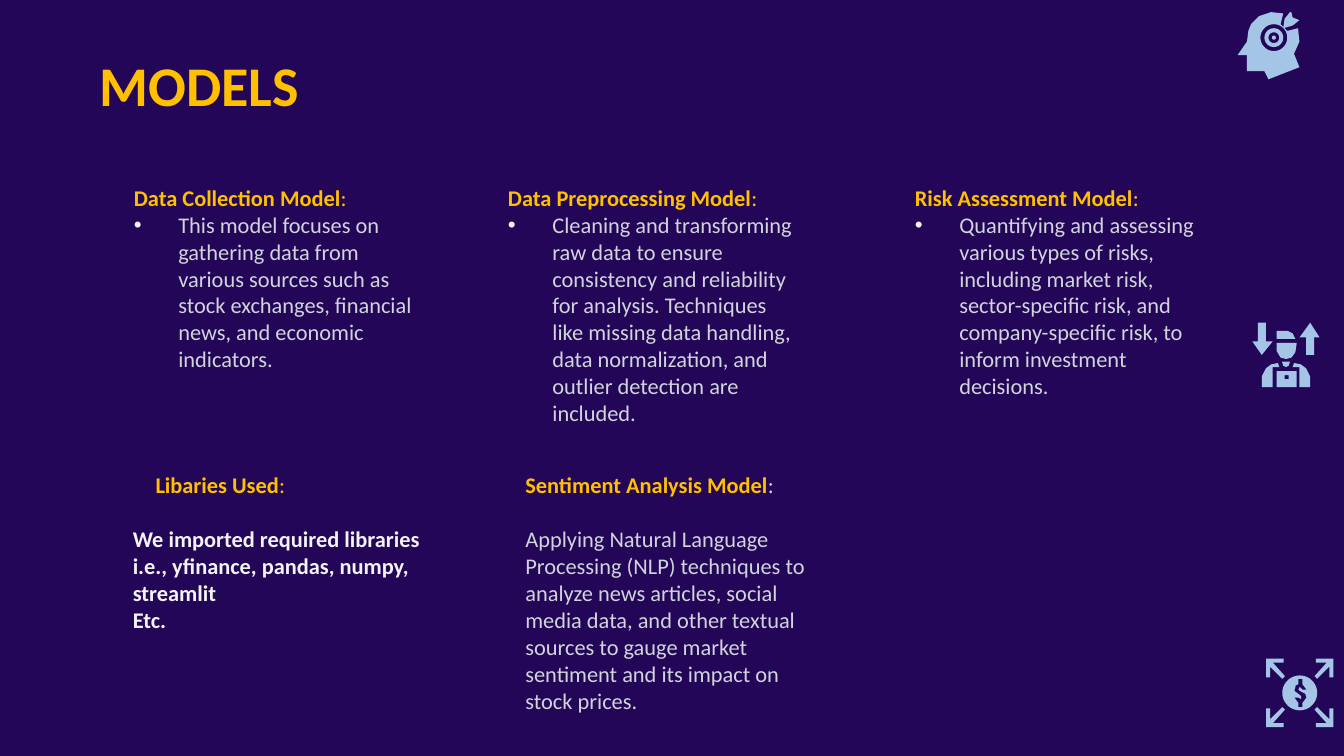
from math import cos, pi, sin

from lxml.etree import SubElement
from pptx import Presentation
from pptx.dml.color import RGBColor
from pptx.enum.text import MSO_ANCHOR, MSO_AUTO_SIZE, PP_ALIGN
from pptx.oxml.ns import qn
from pptx.util import Cm, Pt

PURPLE = RGBColor(0x24, 0x06, 0x59)
GOLD = RGBColor(0xFF, 0xC0, 0x00)
WHITE = RGBColor(0xF3, 0xF3, 0xF3)
GREY = RGBColor(0xD1, 0xD5, 0xDB)
BLUE = RGBColor(0xA5, 0xC5, 0xE6)

FONT = "Calibri"
BLOCK_WIDTH, BLOCK_HEIGHT = 6.4, 5.08
MODELS_TOP, DETAILS_TOP = 3.23, 8.66
INDENT, HANGING = 1.27, -0.84
ICON_UNIT = 0.0254

TITLE = "MODELS"
MODELS = [
    (1.85, "Data Collection Model",
     "This model focuses on gathering data from various sources such as stock "
     "exchanges, financial news, and economic indicators."),
    (8.92, "Data Preprocessing Model",
     "Cleaning and transforming raw data to ensure consistency and reliability for "
     "analysis. Techniques like missing data handling, data normalization, and "
     "outlier detection are included."),
    (16.61, "Risk Assessment Model",
     "Quantifying and assessing various types of risks, including market risk, "
     "sector-specific risk, and company-specific risk, to inform investment decisions."),
]
DETAILS = [
    dict(left=2.26, heading="Libaries Used", colon=GOLD, color=WHITE, bold=True, indent=0,
         lines=["We imported required libraries i.e., yfinance, pandas, numpy, streamlit",
                "Etc."]),
    dict(left=9.25, heading="Sentiment Analysis Model", colon=GREY, color=GREY, bold=False,
         indent=0.43,
         lines=["Applying Natural Language Processing (NLP) techniques to analyze news "
                "articles, social media data, and other textual sources to gauge market "
                "sentiment and its impact on stock prices."]),
]


def circle(x, y, radius, steps=36):
    return [(x + radius * cos(2 * pi * i / steps), y + radius * sin(2 * pi * i / steps))
            for i in range(steps)]


def mirror(points, width=None, height=None):
    return [(x if width is None else width - x, y if height is None else height - y)
            for x, y in points]


# Icon outlines are in hundredths of an inch; an outline inside another cuts a hole.
TARGET_HEAD = [
    [(25, 0), (16, 3), (10, 9), (8, 14), (7, 22), (0, 32), (7, 32), (7, 44), (20, 44),
     (23, 50), (46, 41), (42, 31), (46, 22), (45, 12), (37, 14), (32, 9), (34, 1)],
    *[circle(27, 19, radius) for radius in (10, 7, 4, 1.5)],
    [(39, 0), (35, 5), (34, 12), (41, 10), (46, 6), (41, 4), (40, 0)],
]
SHOULDER = [(19, 30), (14, 31), (10, 34), (7, 40), (7, 48), (15, 48), (15, 33), (20, 33)]
TRADER = [
    [(18, 6), (26, 6), (30, 8), (32, 12), (18, 12)],
    [(43, 0), (50, 11), (46, 11), (46, 24), (40, 24), (40, 11), (35, 11)],
    [(4, 0), (10, 0), (10, 14), (15, 14), (7, 24), (0, 14), (4, 14)],
    [(18, 15), (33, 15), (32, 22), (29, 26), (25, 27), (21, 26), (18, 21)],
    [(22, 29), (28, 29), (27, 32), (25, 33), (23, 32)],
    [(18, 36), (33, 36), (33, 48), (18, 48)],
    [(24, 39), (27, 39), (27, 42), (24, 42)],
    SHOULDER,
    mirror(SHOULDER, width=50),
]
CORNER_ARROW = [(0, 0), (13, 0), (13, 3), (5, 3), (14, 13), (12, 15), (3, 6), (3, 14), (0, 14)]
MONEY = [
    *[mirror(CORNER_ARROW, width, height) for width in (None, 50) for height in (None, 51)],
    circle(25, 25.5, 13),
    [(27, 15), (27, 19), (30, 23), (27, 23), (25, 21), (24, 23), (25, 24), (29, 26),
     (30, 29), (27, 33), (27, 36), (24, 36), (24, 33), (21, 29), (24, 29), (26, 30),
     (26, 28), (25, 27), (21, 24), (22, 20), (24, 19), (24, 15)],
]
ICONS = [(23.39, 0.23, TARGET_HEAD), (23.67, 6.1, TRADER), (23.93, 12.45, MONEY)]


def place(box, left, top, width, height):
    box.left, box.top, box.width, box.height = Cm(left), Cm(top), Cm(width), Cm(height)
    frame = box.text_frame
    frame.word_wrap = True
    frame.auto_size = MSO_AUTO_SIZE.NONE
    frame.vertical_anchor = MSO_ANCHOR.TOP
    frame.margin_left = frame.margin_right = Cm(0.25)
    frame.margin_top = frame.margin_bottom = Cm(0.25)
    return frame


def add_text(para, text, size=12, color=GOLD, bold=False):
    span = para.add_run()
    span.text = text
    span.font.name = FONT
    span.font.size = Pt(size)
    span.font.bold = bold
    span.font.color.rgb = color


def format_paragraph(para, indent=0, hanging=0, bullet=None, after=0):
    para.alignment = PP_ALIGN.LEFT
    para.line_spacing = 1.0
    para.space_before, para.space_after = Pt(0), Pt(after)
    properties = para._p.get_or_add_pPr()
    properties.set("marL", str(Cm(indent)))
    properties.set("indent", str(Cm(hanging)))
    if bullet:
        bullet_color = SubElement(properties, qn("a:buClr"))
        SubElement(bullet_color, qn("a:srgbClr"), val=str(WHITE))
        SubElement(properties, qn("a:buFont"), typeface="Arial")
        SubElement(properties, qn("a:buChar"), char=bullet)
    else:
        SubElement(properties, qn("a:buNone"))


def add_heading(frame, heading, colon=GOLD, **layout):
    para = frame.paragraphs[0]
    format_paragraph(para, **layout)
    add_text(para, heading, bold=True)
    add_text(para, ":", color=colon)


def draw_icon(page, left, top, outlines):
    builder = None
    for outline in outlines:
        points = [(Cm(x * ICON_UNIT), Cm(y * ICON_UNIT)) for x, y in outline]
        if builder is None:
            builder = page.shapes.build_freeform(*points[0])
        else:
            builder.move_to(*points[0])
        builder.add_line_segments(points[1:], close=True)
    icon = builder.convert_to_shape(Cm(left), Cm(top))
    icon.shadow.inherit = False
    icon.fill.solid()
    icon.fill.fore_color.rgb = BLUE
    icon.line.fill.background()


def main():
    deck = Presentation()
    deck.slide_width, deck.slide_height = Cm(25.4), Cm(14.29)
    page = deck.slides.add_slide(deck.slide_layouts.get_by_name("Comparison"))
    page.background.fill.solid()
    page.background.fill.fore_color.rgb = PURPLE

    title = place(page.shapes.title, 1.63, 0.71, 21.41, 1.6).paragraphs[0]
    format_paragraph(title)
    add_text(title, TITLE, size=30, bold=True)

    bodies = list(page.placeholders)[1:]
    for body, (left, heading, description) in zip(bodies, MODELS):
        frame = place(body, left, MODELS_TOP, BLOCK_WIDTH, BLOCK_HEIGHT)
        add_heading(frame, heading, indent=INDENT, hanging=HANGING)
        para = frame.add_paragraph()
        format_paragraph(para, INDENT, HANGING, bullet="•")
        add_text(para, description, color=GREY)
    for unused in bodies[len(MODELS):]:
        unused.element.getparent().remove(unused.element)

    for detail in DETAILS:
        box = page.shapes.add_textbox(0, 0, 0, 0)
        frame = place(box, detail["left"], DETAILS_TOP, BLOCK_WIDTH, BLOCK_HEIGHT)
        add_heading(frame, detail["heading"], detail["colon"], indent=INDENT + HANGING, after=14.6)
        for line in detail["lines"]:
            para = frame.add_paragraph()
            format_paragraph(para, detail["indent"])
            add_text(para, line, color=detail["color"], bold=detail["bold"])

    for left, top, outlines in ICONS:
        draw_icon(page, left, top, outlines)

    deck.save("out.pptx")


if __name__ == "__main__":
    main()
